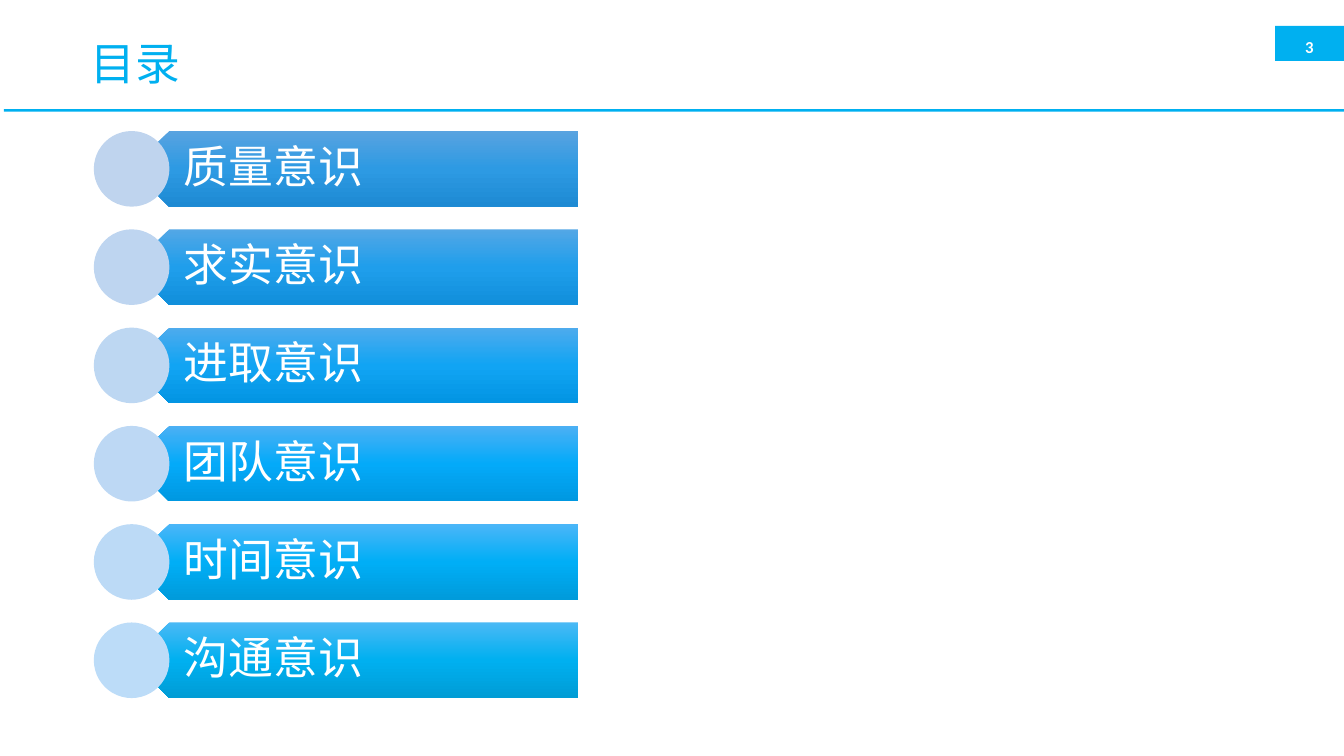
from copy import deepcopy

from lxml.etree import SubElement
from pptx import Presentation
from pptx.dml.color import RGBColor
from pptx.enum.shapes import MSO_SHAPE
from pptx.enum.text import MSO_ANCHOR, PP_ALIGN
from pptx.oxml.ns import qn
from pptx.util import Pt

# Content: label, gradient from top to bottom, circle colour
TITLE = "目录"
PAGE_NUMBER = "3"
TOPICS = [
    ("质量意识", ("59A3E0", "2D9AE3", "1E8AD3"), "BFD4EE"),
    ("求实意识", ("53A7E6", "1F9EEB", "118FDB"), "BED5F0"),
    ("进取意识", ("4EABED", "11A4F3", "0395E3"), "BDD7F2"),
    ("团队意识", ("4CB0F4", "04AAF9", "0098E1"), "BDD8F4"),
    ("时间意识", ("4BB6F8", "00AEF6", "009BDB"), "BCDAF6"),
    ("沟通意识", ("4BB9F5", "00B0F0", "009CD5"), "BCDCF8"),
]

THEME = {
    "accent": "00B0F0", "white": "FFFFFF",
    "heading_font": "Noto Sans CJK SC", "number_font": "Calibri",
    "heading_size": 32, "number_size": 12,
}

# Layout in points
SLIDE = (960, 540)
FIRST_TOP, PITCH, ROW_HEIGHT = 93.6, 70.2, 54
CIRCLE_LEFT = 67
BANNER_LEFT, BANNER_WIDTH = CIRCLE_LEFT + ROW_HEIGHT / 2, 319
LABEL_LEFT, LABEL_WIDTH = 107.3, 306

deck = Presentation()
deck.slide_width, deck.slide_height = map(Pt, SLIDE)
page = deck.slides.add_slide(deck.slide_layouts[6])


def add_shape(preset, left, top, width, height, color=None):
    shape = page.shapes.add_shape(preset, Pt(left), Pt(top), Pt(width), Pt(height))
    shape.shadow.inherit = False
    shape.line.fill.background()
    if color:
        shape.fill.solid()
        shape.fill.fore_color.rgb = RGBColor.from_string(color)
    return shape


def add_text(text, left, top, width, height, font, size, color,
             insets=(0, 0, 0, 0), anchor=MSO_ANCHOR.MIDDLE):
    box = page.shapes.add_textbox(Pt(left), Pt(top), Pt(width), Pt(height))
    frame = box.text_frame
    frame.word_wrap = True
    frame.vertical_anchor = anchor
    (frame.margin_left, frame.margin_top,
     frame.margin_right, frame.margin_bottom) = map(Pt, insets)
    para = frame.paragraphs[0]
    para.text = text
    span = para.runs[0]
    span.font.name = font
    span.font.size = Pt(size)
    span.font.color.rgb = RGBColor.from_string(color)
    SubElement(span.font._element, qn("a:ea")).set("typeface", font)
    return para


def add_heading(text, left, top, width, height, color, insets):
    para = add_text(text, left, top, width, height, THEME["heading_font"],
                    THEME["heading_size"], color, insets)
    para.line_spacing = 0.9
    return para


def fill_gradient(shape, colors):
    shape.fill.gradient()
    shape.fill.gradient_angle = 270
    first = shape._element.spPr.find(".//" + qn("a:gs"))
    first.addnext(deepcopy(first))
    for stop, color, position in zip(shape.fill.gradient_stops, colors, (0, 0.5, 1)):
        stop.color.rgb = RGBColor.from_string(color)
        stop.position = position


# Page number tab and rule under the title
add_shape(MSO_SHAPE.RECTANGLE, 910.8, 18.6, 49.2, 25, THEME["accent"])
number = add_text(PAGE_NUMBER, 918, 21.6, 34.6, 19.4, THEME["number_font"],
                  THEME["number_size"], THEME["white"], anchor=MSO_ANCHOR.BOTTOM)
number.alignment = PP_ALIGN.CENTER
number.runs[0].font.bold = True
add_shape(MSO_SHAPE.RECTANGLE, 2.8, 78, 957.2, 1.8, THEME["accent"])

# Title
add_heading(TITLE, 57.6, 21.6, 845.3, 50.4, THEME["accent"], (7.2, 3.6, 7.2, 3.6))

# Topic rows: banner pointing left, label, circle over the tip
for row, (label, gradient, circle_color) in enumerate(TOPICS):
    top = FIRST_TOP + row * PITCH
    banner = add_shape(MSO_SHAPE.PENTAGON, BANNER_LEFT, top, BANNER_WIDTH, ROW_HEIGHT)
    banner._element.spPr.xfrm.set("flipH", "1")
    fill_gradient(banner, gradient)
    para = add_heading(label, LABEL_LEFT, top, LABEL_WIDTH, ROW_HEIGHT,
                       THEME["white"], (24, 9.4, 18, 9.4))
    after = SubElement(para._p.get_or_add_pPr(), qn("a:spcAft"))
    SubElement(after, qn("a:spcPct")).set("val", "35000")
    add_shape(MSO_SHAPE.OVAL, CIRCLE_LEFT, top, ROW_HEIGHT, ROW_HEIGHT, circle_color)

deck.save("out.pptx")
